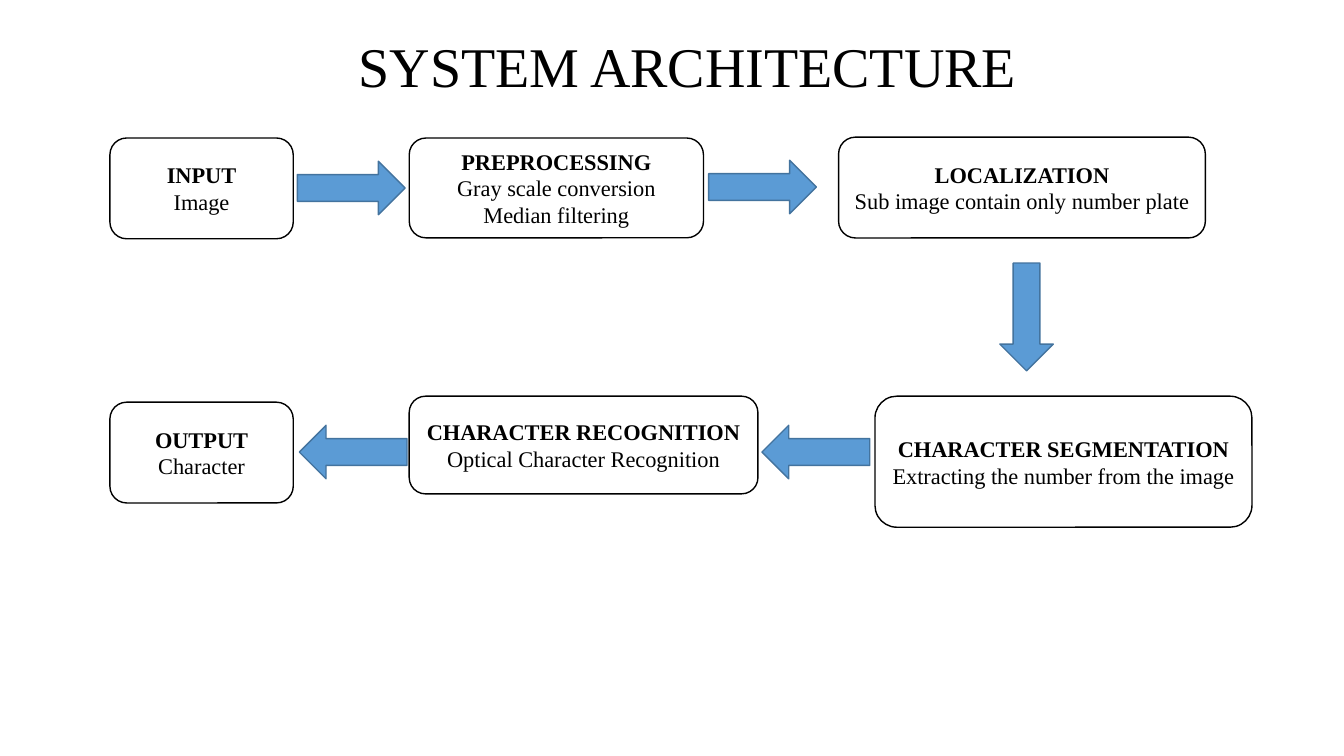
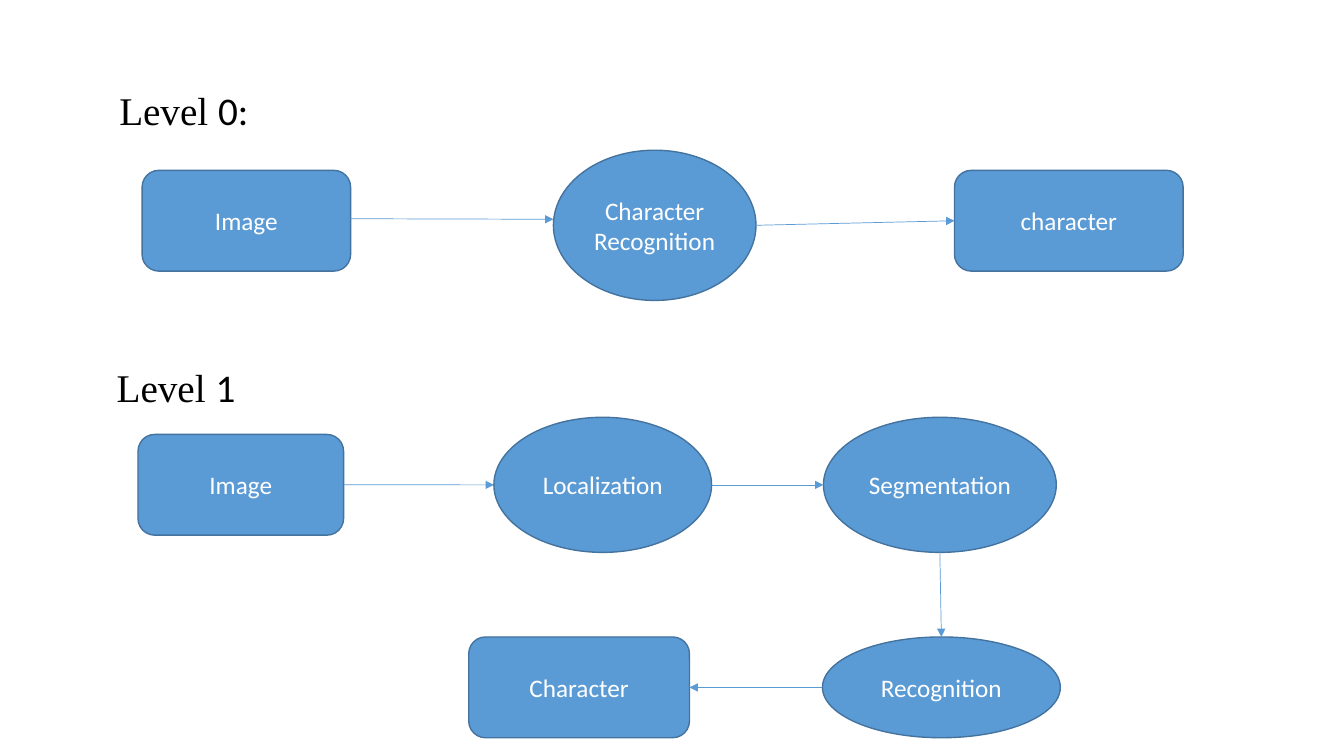
import pptx
import pptx.util
import pptx.dml.color
import pptx.enum.shapes
import pptx.enum.text
import pptx.oxml.ns
from lxml import etree

Pt = pptx.util.Pt
RGBColor = pptx.dml.color.RGBColor
Preset = pptx.enum.shapes.MSO_SHAPE
Anchor = pptx.enum.text.MSO_ANCHOR
CENTER = pptx.enum.text.PP_ALIGN.CENTER

BLACK = RGBColor(0x00, 0x00, 0x00)
WHITE = RGBColor(0xFF, 0xFF, 0xFF)
BLUE = RGBColor(0x5B, 0x9B, 0xD5)
DARK_BLUE = RGBColor(0x43, 0x73, 0x9E)
SERIF = "Times New Roman"
SANS = "Calibri"

TOP, LEFT, BOTTOM, RIGHT = (0.5, 0), (0, 0.5), (0.5, 1), (1, 0.5)
ARROW_LENGTH, ARROW_BREADTH = 77, 38.2

STAGES = [
    ((0, 0.6, 131, 72), "INPUT", ["Image"]),
    ((213.8, 0.6, 210.2, 71.3), "PREPROCESSING",
     ["Gray scale conversion", "Median filtering"]),
    ((520.5, 0, 262, 72), "LOCALIZATION",
     ["Sub image contain only number plate"]),
    ((546.5, 185, 269.3, 93.6), "CHARACTER SEGMENTATION",
     ["Extracting the number from the image"]),
    ((213.8, 185, 249.1, 69.8), "CHARACTER RECOGNITION",
     ["Optical Character Recognition"]),
    ((0, 189.3, 131, 72), "OUTPUT", ["Character"]),
]
STEPS = [
    (Preset.RIGHT_ARROW, 133.9, 17.2),
    (Preset.RIGHT_ARROW, 427.7, 16.5),
    (Preset.DOWN_ARROW, 635.7, 89.9),
    (Preset.LEFT_ARROW, 465.8, 205.8),
    (Preset.LEFT_ARROW, 135.3, 205.8),
]

LEVEL_0_NODES = {
    "Image": (Preset.ROUNDED_RECTANGLE, 23.5, 63.7, 149, 72),
    "Character Recognition": (Preset.OVAL, 317.3, 49.3, 144.7, 107.3),
    "character": (Preset.ROUNDED_RECTANGLE, 603.8, 63.7, 163.4, 72),
}
LEVEL_0_LINKS = [
    ("Image", (1, 0.48), "Character Recognition", (0, 0.46)),
    ("Character Recognition", RIGHT, "character", LEFT),
]
LEVEL_1_NODES = {
    "Image": (Preset.ROUNDED_RECTANGLE, 22.6, 54.3, 146.9, 72),
    "Localization": (Preset.OVAL, 276.8, 42.1, 155.5, 96.5),
    "Segmentation": (Preset.OVAL, 512.2, 42.1, 166.3, 96.5),
    "Recognition": (Preset.OVAL, 511.5, 199, 169.9, 72),
    "Character": (Preset.ROUNDED_RECTANGLE, 258.8, 199, 157.7, 72),
}
LEVEL_1_LINKS = [
    ("Image", RIGHT, "Localization", LEFT),
    ("Localization", RIGHT, "Segmentation", LEFT),
    ("Segmentation", BOTTOM, "Recognition", TOP),
    ("Recognition", LEFT, "Character", RIGHT),
]


def style_font(font, name, size, color, bold=False):
    """Set the typeface, size, colour and weight of a font."""
    font.name = name
    font.size = Pt(size)
    font.color.rgb = color
    font.bold = bold


def add_block(slide, preset, left, top, width, height, fill=BLUE, outline=DARK_BLUE):
    """Add a filled, outlined shape without a shadow."""
    block = slide.shapes.add_shape(preset, Pt(left), Pt(top), Pt(width), Pt(height))
    block.shadow.inherit = False
    block.fill.solid()
    block.fill.fore_color.rgb = fill
    block.line.color.rgb = outline
    block.line.width = Pt(1)
    return block


def write_lines(block, lines, name, size, color, bold_first=False):
    """Write centred paragraphs in a shape, the first one optionally bold."""
    frame = block.text_frame
    frame.word_wrap = True
    frame.vertical_anchor = Anchor.MIDDLE
    frame.margin_left = frame.margin_right = Pt(4)
    frame.text = "\n".join(lines)
    for index, paragraph in enumerate(frame.paragraphs):
        paragraph.alignment = CENTER
        style_font(paragraph.runs[0].font, name, size, color,
                   bold_first and index == 0)


def place_title(slide, text, left, top, width, height):
    """Move the title placeholder and set its text."""
    title = slide.shapes.title
    title.left, title.top, title.width, title.height = map(
        Pt, (left, top, width, height))
    title.text_frame.text = text
    title.text_frame.vertical_anchor = Anchor.MIDDLE
    heading = title.text_frame.paragraphs[0]
    heading.alignment = CENTER
    heading.line_spacing = 0.9
    style_font(heading.runs[0].font, SERIF, 40, BLACK)


def draw_pipeline(slide, left, top):
    """Draw the stages and block arrows from the given corner."""
    for (x, y, width, height), heading, details in STAGES:
        stage = add_block(slide, Preset.ROUNDED_RECTANGLE, left + x, top + y,
                          width, height, WHITE, BLACK)
        write_lines(stage, [heading, *details], SERIF, 16, BLACK, bold_first=True)
    for preset, x, y in STEPS:
        size = (ARROW_LENGTH, ARROW_BREADTH)
        if preset == Preset.DOWN_ARROW:
            size = size[::-1]
        add_block(slide, preset, left + x, top + y, *size)


def edge_point(node, fractions):
    """Return the point at the given fractions of a node's box."""
    across, down = fractions
    return (int(node.left + node.width * across),
            int(node.top + node.height * down))


def add_link(slide, start, end):
    """Draw a thin arrow between two points."""
    link = slide.shapes.add_connector(
        pptx.enum.shapes.MSO_CONNECTOR.STRAIGHT, *start, *end)
    link.line.color.rgb = BLUE
    link.line.width = Pt(0.5)
    qn = pptx.oxml.ns.qn
    etree.SubElement(link.line._get_or_add_ln(), qn("a:tailEnd"), type="triangle")
    etree.SubElement(link._element.spPr, qn("a:effectLst"))


def add_level_heading(slide, number, left, top, width):
    """Add a level heading whose word and number differ in typeface."""
    heading = slide.shapes.add_textbox(Pt(left), Pt(top), Pt(width), Pt(41))
    frame = heading.text_frame
    frame.word_wrap = False
    frame.auto_size = pptx.enum.text.MSO_AUTO_SIZE.SHAPE_TO_FIT_TEXT
    paragraph = frame.paragraphs[0]
    paragraph.alignment = CENTER
    for text, name in (("Level ", SERIF), (number, SANS)):
        run = paragraph.add_run()
        run.text = text
        style_font(run.font, name, 28, BLACK)


def draw_level(slide, left, top, width, number, nodes, links):
    """Draw one level of the data flow with its heading, nodes and links."""
    add_level_heading(slide, number, left, top, width)
    placed = {}
    for label, (preset, x, y, node_width, node_height) in nodes.items():
        placed[label] = add_block(slide, preset, left + x, top + y,
                                  node_width, node_height)
        write_lines(placed[label], [label], SANS, 18, WHITE)
    for source, exit_side, target, entry_side in links:
        add_link(slide, edge_point(placed[source], exit_side),
                 edge_point(placed[target], entry_side))


def build_architecture(deck):
    """Build the system architecture slide."""
    slide = deck.slides.add_slide(deck.slide_layouts[5])
    place_title(slide, "SYSTEM ARCHITECTURE", 77, 9.4, 828, 80)
    draw_pipeline(slide, 78.5, 98)


def build_data_flow(deck):
    """Build the slide with both data flow levels."""
    slide = deck.slides.add_slide(deck.slide_layouts[6])
    draw_level(slide, 78, 58, 106.6, "0:", LEVEL_0_NODES, LEVEL_0_LINKS)
    draw_level(slide, 76, 256, 99.4, "1", LEVEL_1_NODES, LEVEL_1_LINKS)


def main():
    """Build and save the presentation."""
    deck = pptx.Presentation()
    deck.slide_width, deck.slide_height = Pt(960), Pt(540)
    build_architecture(deck)
    build_data_flow(deck)
    deck.save("out.pptx")


if __name__ == "__main__":
    main()
